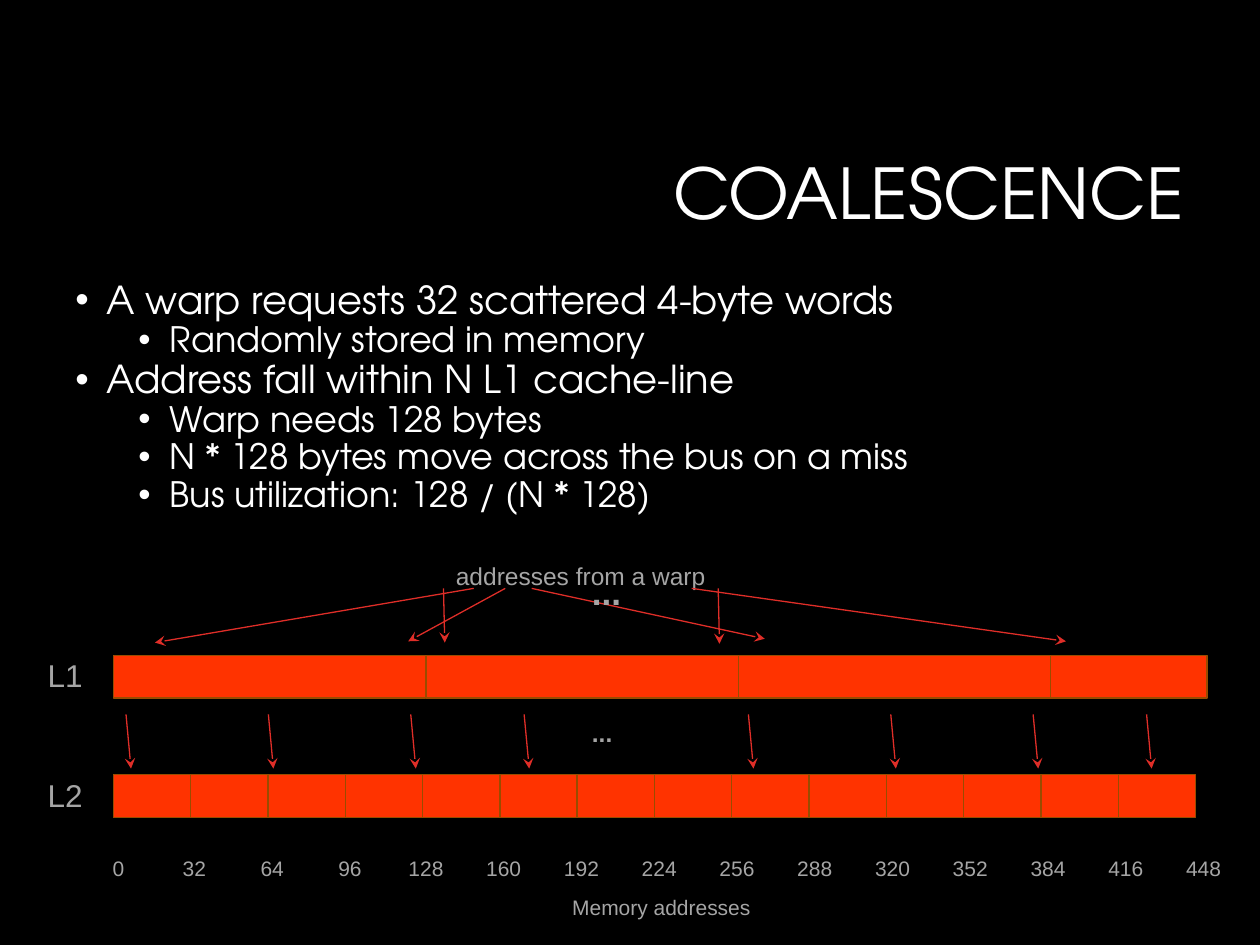
from lxml.etree import SubElement
from pptx import Presentation
from pptx.dml.color import RGBColor
from pptx.enum.shapes import MSO_CONNECTOR as Connector, MSO_SHAPE as Shape
from pptx.enum.text import MSO_ANCHOR as Anchor, MSO_AUTO_SIZE as AutoSize, PP_ALIGN as Align
from pptx.oxml.ns import qn
from pptx.util import Inches, Pt

COLORS = {
    "background": "000000",
    "text": "FFFFFF",
    "label": "A5A5A5",
    "cell": "FF3300",
    "border": "994C00",
    "arrow": "DF2E28",
}
RGB = {name: RGBColor.from_string(value) for name, value in COLORS.items()}
HEADING_FONT = "TeX Gyre Adventor"
LABEL_FONT = "Arial"

presentation = Presentation()
presentation.slide_width = Inches(10)
presentation.slide_height = Inches(7.5)
slide = presentation.slides.add_slide(presentation.slide_layouts[5])
slide.background.fill.solid()
slide.background.fill.fore_color.rgb = RGB["background"]


def add_label(text, left, top, width, height, size, inset=0.05, align=Align.LEFT, bold=False):
    shape = slide.shapes.add_textbox(Inches(left), Inches(top), Inches(width), Inches(height))
    frame = shape.text_frame
    frame.text = text
    frame.word_wrap = True
    frame.auto_size = AutoSize.SHAPE_TO_FIT_TEXT
    frame.margin_top = frame.margin_bottom = Inches(inset)
    paragraph = frame.paragraphs[0]
    paragraph.alignment = align
    font = paragraph.runs[0].font
    font.name, font.size, font.bold = LABEL_FONT, Pt(size), bold
    font.color.rgb = RGB["label"]


def add_arrow(start_x, start_y, end_x, end_y):
    arrow = slide.shapes.add_connector(
        Connector.STRAIGHT, Inches(start_x), Inches(start_y), Inches(end_x), Inches(end_y)
    )
    arrow.line.color.rgb = RGB["arrow"]
    arrow.line.width = Pt(0.75)
    SubElement(arrow.line._get_or_add_ln(), qn("a:tailEnd"), type="stealth")
    SubElement(arrow._element.spPr, qn("a:effectLst"))


title = slide.shapes.title
title.left, title.top, title.width, title.height = (Inches(n) for n in (0.5, 0.3, 9, 1.66))
body = slide.shapes.add_textbox(Inches(0.5), Inches(2.13), Inches(9), Inches(5.05))
for shape in (title, body):
    frame = shape.text_frame
    frame.word_wrap = True
    frame.auto_size = AutoSize.NONE
    frame.margin_left = frame.margin_right = Inches(0.1)
    frame.margin_top = frame.margin_bottom = Inches(0.1)

title.text_frame.text = "COALESCENCE"
title.text_frame.vertical_anchor = Anchor.BOTTOM
heading = title.text_frame.paragraphs[0]
heading.alignment = Align.RIGHT
heading.line_spacing = 0.9
heading.runs[0].font.name = HEADING_FONT
heading.runs[0].font.size = Pt(40)
heading.runs[0].font.color.rgb = RGB["text"]

bullets = [
    (0, "A warp requests 32 scattered 4-byte words"),
    (1, "Randomly stored in memory"),
    (0, "Address fall within N L1 cache-line"),
    (1, "Warp needs 128 bytes"),
    (1, "N * 128 bytes move across the bus on a miss"),
    (1, "Bus utilization: 128 / (N * 128)"),
]
body.text_frame.text = "\n".join(text for level, text in bullets)
for paragraph, (level, text) in zip(body.text_frame.paragraphs, bullets):
    paragraph.level = level
    paragraph.line_spacing = 0.9
    properties = paragraph._p.get_or_add_pPr()
    properties.set("marL", str(Inches(0.25 + 0.5 * level)))
    properties.set("indent", str(Inches(-0.25)))
    SubElement(properties, qn("a:buFont"), typeface=LABEL_FONT)
    SubElement(properties, qn("a:buChar"), char="•")
    font = paragraph.runs[0].font
    font.name, font.size = HEADING_FONT, Pt(22 - 2 * level)
    font.color.rgb = RGB["text"]

add_label("addresses from a warp", 3.33, 4.4, 2.56, 0.34, 14, align=Align.CENTER)

LABEL_PITCH = 8.64 / 14
for column in range(15):
    address = str(32 * column)
    width = 0.17 + 0.12 * len(address)
    add_label(address, 0.94 + LABEL_PITCH * column - width / 2, 6.74, width, 0.3, 12)
add_label("Memory addresses", 4.27, 7.05, 1.96, 0.3, 12, align=Align.CENTER)

CACHE_LEFT = 0.9
CELL_HEIGHT = 0.34
cache_rows = [
    ("L1", 5.2, 2.48, (2.5, 1, 0, 2)),
    ("L2", 6.15, 8.59 / 14, range(14)),
]
for name, top, width, columns in cache_rows:
    for column in columns:
        cell = slide.shapes.add_shape(
            Shape.RECTANGLE, Inches(CACHE_LEFT + column * width), Inches(top),
            Inches(width), Inches(CELL_HEIGHT),
        )
        cell.shadow.inherit = False
        cell.fill.solid()
        cell.fill.fore_color.rgb = RGB["cell"]
        cell.line.color.rgb = RGB["border"]
        cell.line.width = Pt(0.75)
    add_label(name, 0.28, top - 0.09, 0.51, 0.5, 18, inset=0.1)

WARP_Y = 4.67
warp_arrows = [
    (3.76, 1.23, 5.1),
    (4.01, 3.24, 5.09),
    (5.49, 8.46, 5.09),
    (3.52, 3.53, 5.1),
    (4.22, 6.07, 5.07),
    (5.7, 5.71, 5.11),
]
for start_x, end_x, end_y in warp_arrows:
    add_arrow(start_x, WARP_Y, end_x, end_y)

for group_left in (1, 5.94):
    for offset in (0, 1.13, 2.26, 3.16):
        x = group_left + offset
        add_arrow(x, 5.67, x + 0.04, 6.1)

add_label("...", 4.6, 4.48, 0.7, 0.44, 20, bold=True)
add_label("...", 4.6, 5.65, 0.36, 0.57, 14, bold=True)

presentation.save("out.pptx")
